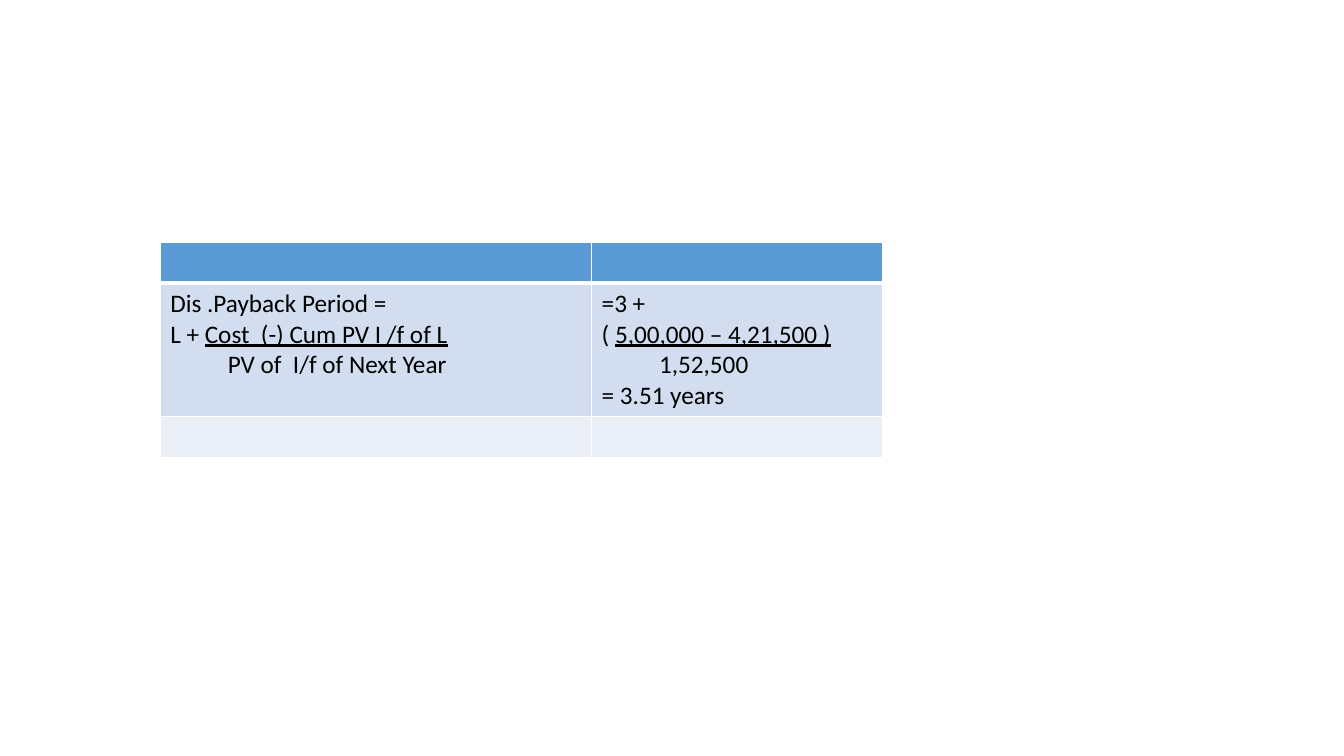
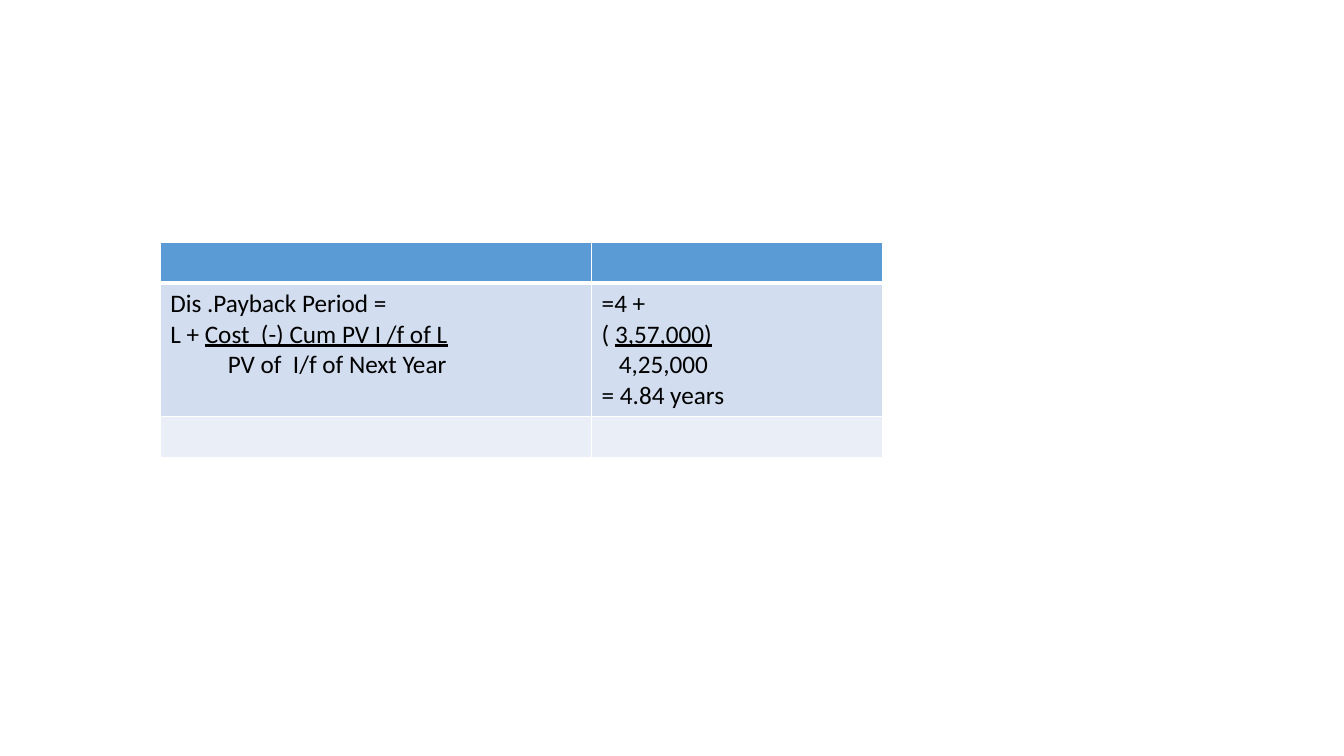
from dataclasses import dataclass

from lxml import etree
from pptx import Presentation
from pptx.dml.color import RGBColor
from pptx.oxml.ns import qn
from pptx.util import Inches, Pt

WHITE = RGBColor(0xFF, 0xFF, 0xFF)
BLACK = RGBColor(0x00, 0x00, 0x00)
BLUE = RGBColor(0x5B, 0x9B, 0xD5)
PALE = RGBColor(0xD2, 0xDE, 0xEF)
MIST = RGBColor(0xEA, 0xEF, 0xF7)

WIDE, HIGH = Inches(13.33), Inches(7.5)
BLANK = 6

# Shares of the slide's size, in percent
LEFT, TOP = 11.92, 32
COLS = (32.1, 21.68)
ROWS = (5.47, 17.4, 5.47)
FILLS = (BLUE, PALE, MIST)
HEAD, BODY = 0, 1
THIN, THICK = Pt(1), Pt(3)
FONT = {"name": "Calibri", "size": Pt(18)}


@dataclass(frozen=True)
class Line:
    """A line of a formula: plain text, underlined text, indent in inches."""
    plain: str
    under: str = ""
    indent: float = 0


@dataclass(frozen=True)
class Sum:
    """The worked figures of one slide."""
    base: str
    top: str
    below: str
    result: str
    indent: float

    def lines(self) -> tuple[Line, ...]:
        """Set the figures out as a fraction."""
        return (Line(f"={self.base} +"), Line("( ", self.top),
                Line(self.below, indent=self.indent),
                Line(f"= {self.result} years"))


RULE = (
    Line("Dis .Payback Period ="),
    Line("L + ", "Cost  (-) Cum PV I /f of L"),
    Line("PV of  I/f of Next Year", indent=0.57),
)
SUMS = (
    Sum("3", "5,00,000 – 4,21,500 )", "1,52,500", "3.51", 0.57),
    Sum("4", "3,57,000)", "4,25,000", "4.84", 0.17),
)


def across(share: float) -> int:
    """Turn a percentage of the slide's width into a length."""
    return round(WIDE * share / 100)


def down(share: float) -> int:
    """Turn a percentage of the slide's height into a length."""
    return round(HIGH * share / 100)


def edge(cell, row: int) -> None:
    """Give a cell white borders, thick between header and body."""
    props = cell._tc.get_or_add_tcPr()
    wide = {"lnT": THICK if row == BODY else THIN,
            "lnB": THICK if row == HEAD else THIN}
    for side in ("lnL", "lnR", "lnT", "lnB"):
        line = etree.SubElement(props, qn(f"a:{side}"),
                                w=str(int(wide.get(side, THIN))))
        fill = etree.SubElement(line, qn("a:solidFill"))
        etree.SubElement(fill, qn("a:srgbClr"), val=str(WHITE))


def write(cell, lines: tuple[Line, ...]) -> None:
    """Write the lines of a formula, one paragraph each."""
    frame = cell.text_frame
    for i, line in enumerate(lines):
        para = frame.add_paragraph() if i else frame.paragraphs[0]
        if line.indent:
            para._p.get_or_add_pPr().set("marL", str(int(Inches(line.indent))))
        for text, under in ((line.plain, False), (line.under, True)):
            if text:
                run = para.add_run()
                run.text = text
                for key, value in {**FONT, "underline": under}.items():
                    setattr(run.font, key, value)
                run.font.color.rgb = BLACK


def draw(deck, work: Sum) -> None:
    """Add a slide with the payback rule beside its worked figures."""
    slide = deck.slides.add_slide(deck.slide_layouts[BLANK])
    table = slide.shapes.add_table(
        len(ROWS), len(COLS), across(LEFT), down(TOP),
        across(sum(COLS)), down(sum(ROWS))).table
    for col, share in zip(table.columns, COLS):
        col.width = across(share)
    for r, (row, share, fill) in enumerate(zip(table.rows, ROWS, FILLS)):
        row.height = down(share)
        for cell in row.cells:
            edge(cell, r)
            cell.fill.solid()
            cell.fill.fore_color.rgb = fill
    for c, lines in enumerate((RULE, work.lines())):
        write(table.cell(BODY, c), lines)


def main() -> None:
    """Build and save the slides."""
    deck = Presentation()
    deck.slide_width, deck.slide_height = WIDE, HIGH
    for work in SUMS:
        draw(deck, work)
    deck.save("out.pptx")


main()
